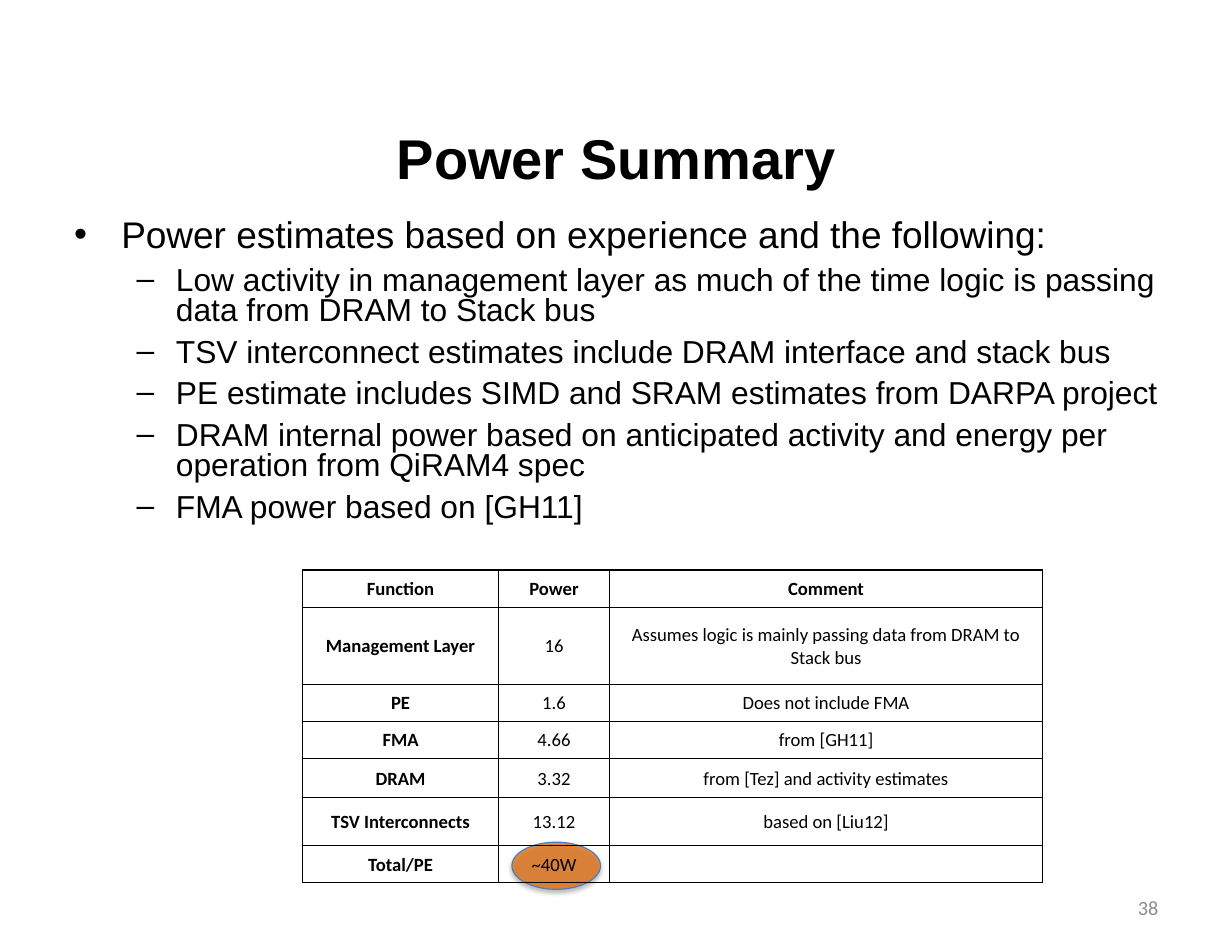
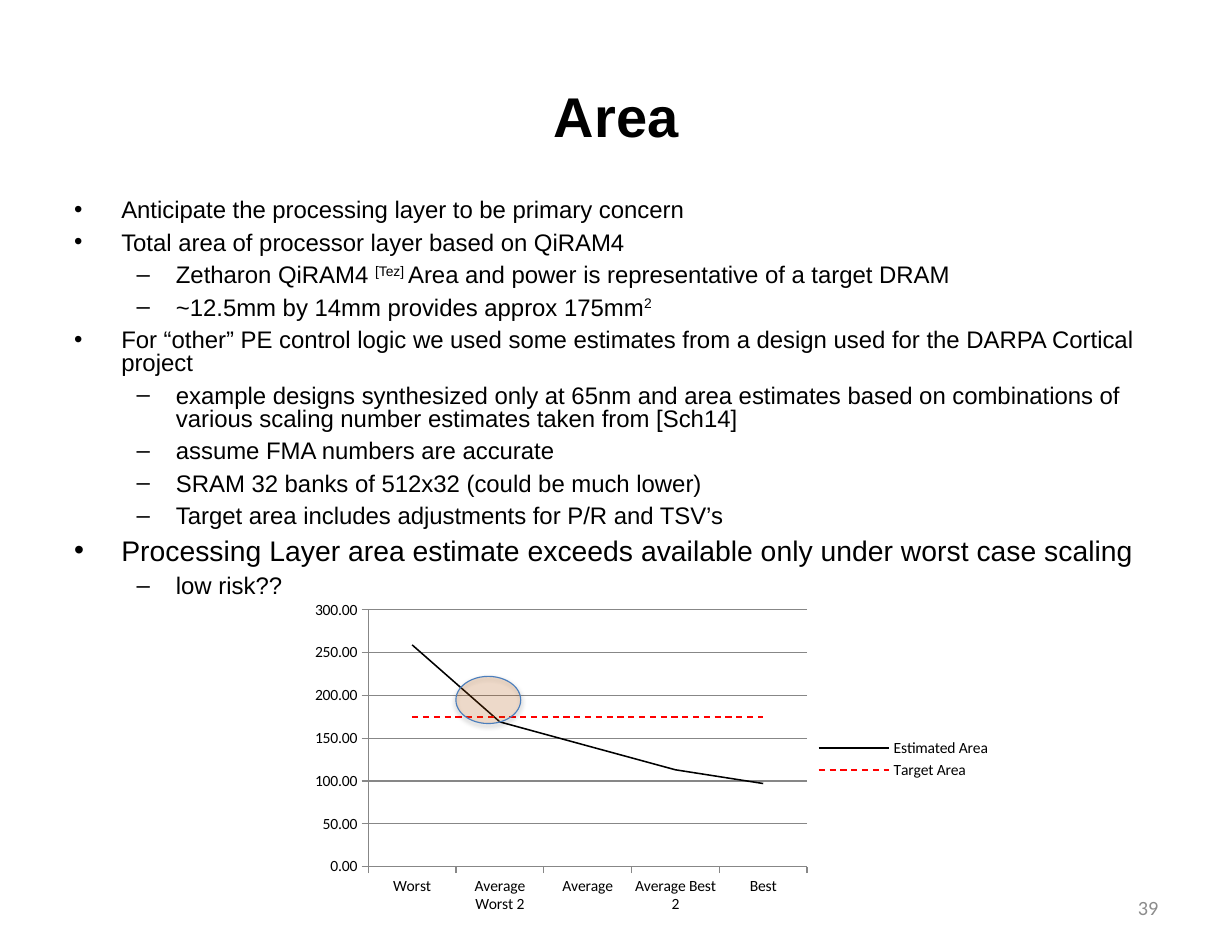
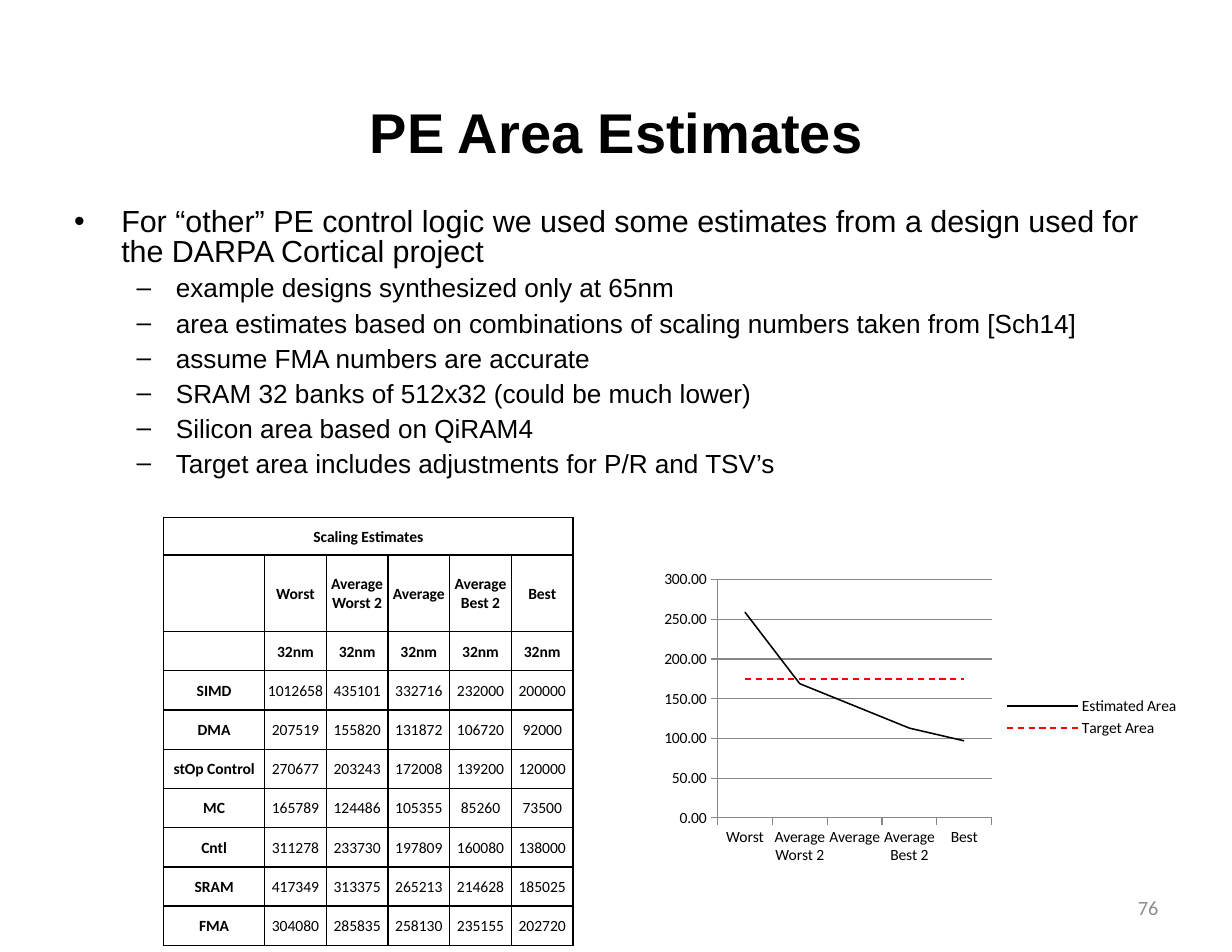
"""Builds three slides on the power and area estimates of a processing layer."""
from lxml import etree
from pptx import Presentation
from pptx import util as u
from pptx.chart import data as chart_data
from pptx.dml.color import RGBColor
from pptx.enum import chart as charts, dml, shapes, text
from pptx.oxml.ns import qn

COLOURS = {
    "ink": "000000",
    "highlight": "E46C0A",
    "outline": "4B7EBC",
    "target": "FF0000",
    "grid": "878787",
    "number": "8C8C8C",
}
SCALINGS = ["Worst", "Average Worst 2", "Average", "Average Best 2", "Best"]
AREAS = {"Estimated Area": [259, 169, 141, 113, 97], "Target Area": [175] * 5}
INDENTS = [(1.07, -1.07), (2.31, -0.89)]


def colour(name):
    return RGBColor.from_string(COLOURS[name])


def add_xml(parent, tag, **attributes):
    return etree.SubElement(parent, qn(tag), {key: str(value) for key, value in attributes.items()})


class Deck:
    heading_font = "Arial"
    small_font = "Calibri"

    def __init__(self):
        self.deck = Presentation()
        self.deck.slide_width = u.Cm(27.94)
        self.deck.slide_height = u.Cm(21.59)
        self.page = None

    def style(self, font, name, size, shade="ink", bold=False):
        font.name = name
        font.size = u.Pt(size)
        font.bold = bold
        font.color.rgb = colour(shade)

    def place(self, box, left, top, width, height):
        box.left, box.top = u.Cm(left), u.Cm(top)
        box.width, box.height = u.Cm(width), u.Cm(height)

    def frame(self, box, anchor):
        frame = box.text_frame
        frame.word_wrap = True
        frame.auto_size = text.MSO_AUTO_SIZE.NONE
        frame.vertical_anchor = anchor
        frame.margin_left = frame.margin_right = u.Cm(0.28)
        frame.margin_top = frame.margin_bottom = u.Cm(0.15)
        return frame

    def add_page(self, title, number, top, height):
        self.page = self.deck.slides.add_slide(self.deck.slide_layouts[1])
        box = self.page.shapes.title
        self.place(box, 1.4, top, 25.15, height)
        frame = self.frame(box, text.MSO_ANCHOR.MIDDLE)
        frame.text = title
        para = frame.paragraphs[0]
        para.alignment = text.PP_ALIGN.CENTER
        self.style(para.runs[0].font, self.heading_font, 36, bold=True)
        self.number(number)

    def number(self, number):
        box = self.page.shapes.add_textbox(u.Cm(20.02), u.Cm(20.02), u.Cm(6.53), u.Cm(1.14))
        frame = self.frame(box, text.MSO_ANCHOR.MIDDLE)
        frame.text = str(number)
        para = frame.paragraphs[0]
        para.alignment = text.PP_ALIGN.RIGHT
        self.style(para.runs[0].font, self.small_font, 13, "number")

    def bullets(self, top, height, sizes, items):
        """Fills the body; text between carets is superscript, a third value overrides the size."""
        box = self.page.placeholders[1]
        self.place(box, 1.4, top, 25.15, height)
        frame = self.frame(box, text.MSO_ANCHOR.TOP)
        for index, (level, content, *own_size) in enumerate(items):
            para = frame.add_paragraph() if index else frame.paragraphs[0]
            para.level = level
            para.line_spacing = 0.8
            para.space_after = u.Pt(3)
            if index == 0:
                para.space_before = u.Pt(0)
            left, first = INDENTS[level]
            properties = para._p.get_or_add_pPr()
            properties.set("marL", str(u.Cm(left)))
            properties.set("indent", str(u.Cm(first)))
            for order, part in enumerate(content.split("^")):
                if part:
                    span = para.add_run()
                    span.text = part
                    size = own_size[0] if own_size else sizes[level]
                    self.style(span.font, self.heading_font, size)
                    if order % 2:
                        span._r.get_or_add_rPr().set("baseline", "30000")

    def table(self, left, top, widths, heights, size, header_rows, rows):
        graphic = self.page.shapes.add_table(
            len(rows), len(widths), u.Cm(left), u.Cm(top), u.Cm(sum(widths)), u.Cm(sum(heights)))
        table = graphic.table
        table.first_row = table.horz_banding = False
        for column, width in zip(table.columns, widths):
            column.width = u.Cm(width)
        for line, height in zip(table.rows, heights):
            line.height = u.Cm(height)
        for row, values in enumerate(rows):
            for column, value in enumerate(values):
                bold = row < header_rows or column == 0
                self.cell(table.cell(row, column), value, size, bold)
        return table

    def cell(self, cell, value, size, bold):
        cell.text = value
        cell.vertical_anchor = text.MSO_ANCHOR.MIDDLE
        cell.margin_left = cell.margin_right = cell.margin_top = u.Cm(0.03)
        cell.margin_bottom = 0
        for para in cell.text_frame.paragraphs:
            para.alignment = text.PP_ALIGN.CENTER
            for span in para.runs:
                self.style(span.font, self.small_font, size, bold=bold)
        properties = cell._tc.get_or_add_tcPr()
        for side in "LRTB":
            border = add_xml(properties, f"a:ln{side}", w=u.Pt(1))
            add_xml(add_xml(border, "a:solidFill"), "a:srgbClr", val=COLOURS["ink"])
        cell.fill.background()

    def highlight(self, left, top, width, height, opacity):
        oval = self.page.shapes.add_shape(
            shapes.MSO_SHAPE.OVAL, u.Cm(left), u.Cm(top), u.Cm(width), u.Cm(height))
        oval.fill.solid()
        oval.fill.fore_color.rgb = colour("highlight")
        properties = oval._element.spPr
        add_xml(properties.find(f".//{qn('a:srgbClr')}"), "a:alpha", val=opacity * 1000)
        oval.line.color.rgb = colour("outline")
        oval.line.width = u.Pt(0.75)
        oval.shadow.inherit = False
        shadow = add_xml(properties.find(qn("a:effectLst")), "a:outerShdw", blurRad=u.Pt(3.1),
                         dist=u.Pt(1.8), dir=5400000, rotWithShape=0)
        add_xml(add_xml(shadow, "a:srgbClr", val=COLOURS["ink"]), "a:alpha", val=35000)

    def area_chart(self, left, top, width, height, plot_area):
        data = chart_data.CategoryChartData(number_format="0.00")
        data.categories = SCALINGS
        for name, values in AREAS.items():
            data.add_series(name, values)
        chart = self.page.shapes.add_chart(
            charts.XL_CHART_TYPE.LINE, u.Cm(left), u.Cm(top), u.Cm(width), u.Cm(height), data).chart
        self.style(chart.font, self.small_font, 10)
        chart.has_title = False
        chart.has_legend = True
        chart.legend.position = charts.XL_LEGEND_POSITION.RIGHT
        chart.legend.include_in_layout = False
        plot = chart.plots[0]
        plot.vary_by_categories = False
        for series, shade in zip(plot.series, ("ink", "target")):
            series.smooth = False
            series.format.line.color.rgb = colour(shade)
            series.format.line.width = u.Pt(1)
        plot.series[1].format.line.dash_style = dml.MSO_LINE.DASH
        self.axes(chart)
        self.plot_layout(chart, plot_area)

    def axes(self, chart):
        scale = chart.value_axis
        scale.minimum_scale, scale.maximum_scale, scale.major_unit = 0, 300, 50
        scale.has_major_gridlines = True
        scale.tick_labels.number_format = "0.00"
        scale.tick_labels.number_format_is_linked = False
        for axis in (scale, chart.category_axis):
            axis.major_tick_mark = charts.XL_TICK_MARK.OUTSIDE
        for part in (scale, chart.category_axis, scale.major_gridlines):
            part.format.line.color.rgb = colour("grid")
            part.format.line.width = u.Pt(0.75)

    def plot_layout(self, chart, plot_area):
        area = chart._chartSpace.chart.plotArea
        for old in area.findall(qn("c:layout")):
            area.remove(old)
        layout = etree.Element(qn("c:layout"))
        area.insert(0, layout)
        manual = add_xml(layout, "c:manualLayout")
        add_xml(manual, "c:layoutTarget", val="inner")
        for mode in ("xMode", "yMode"):
            add_xml(manual, f"c:{mode}", val="edge")
        for key, value in zip("xywh", plot_area):
            add_xml(manual, f"c:{key}", val=value)


def power_summary(deck):
    deck.add_page("Power Summary", 38, 1.88, 3.35)
    deck.bullets(4.85, 7.77, (23.8, 20.4), [
        (0, "Power estimates based on experience and the following:"),
        (1, "Low activity in management layer as much of the time logic is passing data "
            "from DRAM to Stack bus"),
        (1, "TSV interconnect estimates include DRAM interface and stack bus"),
        (1, "PE estimate includes SIMD and SRAM estimates from DARPA project"),
        (1, "DRAM internal power based on anticipated activity and energy per operation "
            "from QiRAM4 spec"),
        (1, "FMA power based on [GH11]"),
    ])
    deck.highlight(11.61, 19.1, 2.01, 1.07, 74)
    deck.table(6.86, 12.93, [4.45, 2.51, 9.83], [0.84, 1.75, 0.84, 0.84, 0.89, 1.09, 0.84], 12, 1, [
        ("Function", "Power", "Comment"),
        ("Management Layer", "16", "Assumes logic is mainly passing data from DRAM to Stack bus"),
        ("PE", "1.6", "Does not include FMA"),
        ("FMA", "4.66", "from [GH11]"),
        ("DRAM", "3.32", "from [Tez] and activity estimates"),
        ("TSV Interconnects", "13.12", "based on [Liu12]"),
        ("Total/PE", "~40W", ""),
    ])


def area(deck):
    deck.add_page("Area", 39, 1.42, 2.36)
    deck.bullets(4.39, 9.75, (15.4, 15.4), [
        (0, "Anticipate the processing layer to be primary concern"),
        (0, "Total area of processor layer based on QiRAM4"),
        (1, "Zetharon QiRAM4 ^[Tez] ^Area and power is representative of a target DRAM"),
        (1, "~12.5mm by 14mm provides approx 175mm^2^"),
        (0, "For “other” PE control logic we used some estimates from a design used for "
            "the DARPA Cortical project"),
        (1, "example designs synthesized only at 65nm and area estimates based on combinations "
            "of various scaling number estimates taken from [Sch14]"),
        (1, "assume FMA numbers are accurate"),
        (1, "SRAM 32 banks of 512x32 (could be much lower)"),
        (1, "Target area includes adjustments for P/R and TSV’s"),
        (0, "Processing Layer area estimate exceeds available only under worst case scaling", 18.2),
        (1, "low risk??"),
    ])
    deck.area_chart(6.93, 13.28, 15.8, 7.87, (0.09, 0.07, 0.63, 0.74))
    deck.highlight(10.34, 15.34, 1.47, 1.07, 17)


def area_estimates(deck):
    deck.add_page("PE Area Estimates", 76, 1.3, 3.35)
    deck.bullets(4.6, 6.68, (19.6, 16.8), [
        (0, "For “other” PE control logic we used some estimates from a design used for "
            "the DARPA Cortical project"),
        (1, "example designs synthesized only at 65nm"),
        (1, "area estimates based on combinations of scaling numbers taken from [Sch14]"),
        (1, "assume FMA numbers are accurate"),
        (1, "SRAM 32 banks of 512x32 (could be much lower)"),
        (1, "Silicon area based on QiRAM4"),
        (1, "Target area includes adjustments for P/R and TSV’s"),
    ])
    estimates = deck.table(3.71, 11.73, [2.29] + [1.4] * 5, [0.86, 1.73] + [0.89] * 8, 10, 3, [
        ["Scaling Estimates"] + [""] * 5,
        [""] + [name.replace("Average ", "Average\n") for name in SCALINGS],
        [""] + ["32nm"] * 5,
        ("SIMD", "1012658", "435101", "332716", "232000", "200000"),
        ("DMA", "207519", "155820", "131872", "106720", "92000"),
        ("stOp Control", "270677", "203243", "172008", "139200", "120000"),
        ("MC", "165789", "124486", "105355", "85260", "73500"),
        ("Cntl", "311278", "233730", "197809", "160080", "138000"),
        ("SRAM", "417349", "313375", "265213", "214628", "185025"),
        ("FMA", "304080", "285835", "258130", "235155", "202720"),
    ])
    estimates.cell(0, 0).merge(estimates.cell(0, 5))
    deck.area_chart(14.81, 12.8, 12.19, 6.93, (0.12, 0.05, 0.51, 0.78))


def main():
    deck = Deck()
    power_summary(deck)
    area(deck)
    area_estimates(deck)
    deck.deck.save("out.pptx")


if __name__ == "__main__":
    main()
